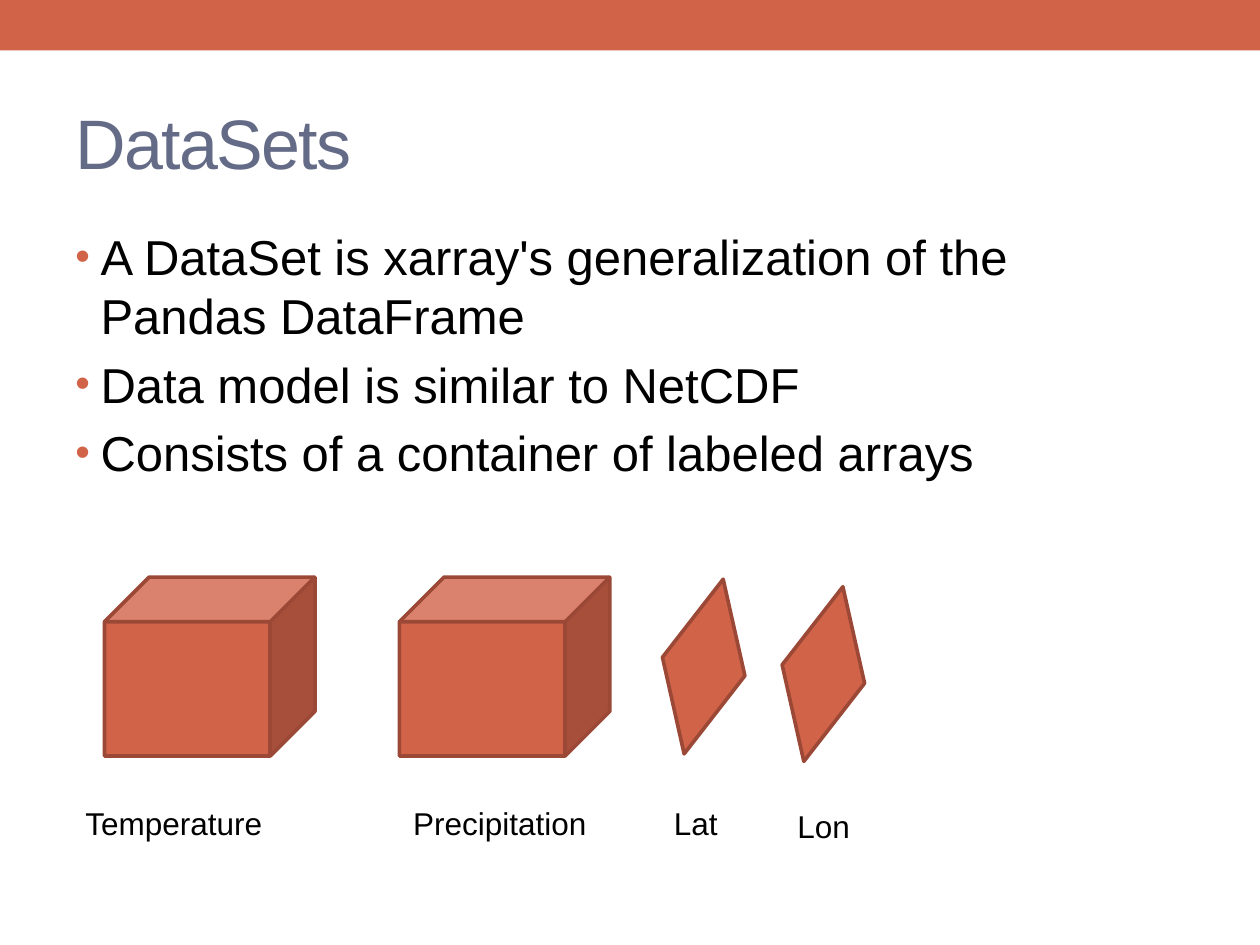
"""Build the DataSets slide: bullets above a row of labeled arrays."""
import pptx
import pptx.util
import pptx.dml.color
import pptx.enum.shapes
import pptx.enum.text
import pptx.oxml
import pptx.oxml.ns

Inches, Pt = pptx.util.Inches, pptx.util.Pt
RGBColor = pptx.dml.color.RGBColor
SHAPE = pptx.enum.shapes.MSO_SHAPE
ANCHOR = pptx.enum.text.MSO_ANCHOR
ALIGN = pptx.enum.text.PP_ALIGN

RUST = RGBColor(0xD1, 0x63, 0x49)
DARK_RUST = RGBColor(0x9B, 0x49, 0x36)
SLATE = RGBColor(0x64, 0x6B, 0x86)
BLACK = RGBColor(0, 0, 0)

WIDTH, HEIGHT, MARGIN = 10, 7.5, 0.5
CONTENT_W = WIDTH - 2 * MARGIN
ARRAY_TOP, ARRAY_H, LABEL_TOP, LABEL_H = 4.58, 1.42, 6.33, 0.4
SIZES = {SHAPE.CUBE: (1.67, 0), SHAPE.DIAMOND: (0.67, 12.6)}

TITLE = "DataSets"
BULLETS = [
    "A DataSet is xarray's generalization of the Pandas DataFrame",
    "Data model is similar to NetCDF",
    "Consists of a container of labeled arrays",
]
# name, preset, left, drop, label left, label width, label drop
ARRAYS = [
    ("Temperature", SHAPE.CUBE, 0.83, 0, 0.58, 1.62, 0),
    ("Precipitation", SHAPE.CUBE, 3.17, 0, 3.18, 1.59, 0),
    ("Lat", SHAPE.DIAMOND, 5.25, 0, 5.25, 0.55, 0),
    ("Lon", SHAPE.DIAMOND, 6.2, 0.06, 6.23, 0.62, 0.03),
]


def set_font(p, size, color):
    p.font.name, p.font.size = "Arial", Pt(size)
    p.font.color.rgb = color


def add_shape(s, preset, box, line=None):
    sp = s.shapes.add_shape(preset, *map(Inches, box))
    sp.shadow.inherit = False
    sp.fill.solid()
    sp.fill.fore_color.rgb = RUST
    if line is None:
        sp.line.fill.background()
    else:
        sp.line.color.rgb, sp.line.width = line, Pt(2.08)
    return sp


def add_title(s):
    sp = s.shapes.title
    sp.left, sp.top, sp.width, sp.height = map(Inches, (MARGIN, 0.58, CONTENT_W, 1.08))
    tf = sp.text_frame
    tf.text, tf.vertical_anchor = TITLE, ANCHOR.MIDDLE
    p = tf.paragraphs[0]
    p.alignment = ALIGN.LEFT
    set_font(p, 40, SLATE)
    p.runs[0].font._element.set("spc", "-100")


def add_bullet(p):
    pPr = p._p.get_or_add_pPr()
    indent = Inches(0.2)
    pPr.set("marL", str(indent))
    pPr.set("indent", str(-indent))
    ns = pptx.oxml.ns.nsdecls("a")
    bullet = [
        f'<a:buClr {ns}><a:srgbClr val="{RUST}"/></a:buClr>',
        f'<a:buSzPct {ns} val="85000"/>',
        f'<a:buFont {ns} typeface="Arial"/>',
        f'<a:buChar {ns} char="•"/>',
    ]
    for position, xml in enumerate(bullet, start=1):
        pPr.insert(position, pptx.oxml.parse_xml(xml))


def add_bullets(s):
    tf = s.shapes.add_textbox(*map(Inches, (MARGIN, 1.75, CONTENT_W, 5.33))).text_frame
    tf.word_wrap = True
    tf.text = "\n".join(BULLETS)
    for p in tf.paragraphs:
        p.space_before = Pt(5.6)
        set_font(p, 28, BLACK)
        add_bullet(p)


def add_arrays(s):
    for name, preset, left, drop, label_left, label_w, label_drop in ARRAYS:
        width, angle = SIZES[preset]
        sp = add_shape(s, preset, (left, ARRAY_TOP + drop, width, ARRAY_H), DARK_RUST)
        sp.rotation = angle
        box = (label_left, LABEL_TOP + label_drop, label_w, LABEL_H)
        tf = s.shapes.add_textbox(*map(Inches, box)).text_frame
        tf.word_wrap = False
        tf.text = name
        set_font(tf.paragraphs[0], 18, BLACK)


def main():
    prs = pptx.Presentation()
    prs.slide_width, prs.slide_height = Inches(WIDTH), Inches(HEIGHT)
    s = prs.slides.add_slide(prs.slide_layouts[5])
    add_shape(s, SHAPE.RECTANGLE, (0, 0, WIDTH, 0.4))
    add_title(s)
    add_bullets(s)
    add_arrays(s)
    prs.save("out.pptx")


if __name__ == "__main__":
    main()
